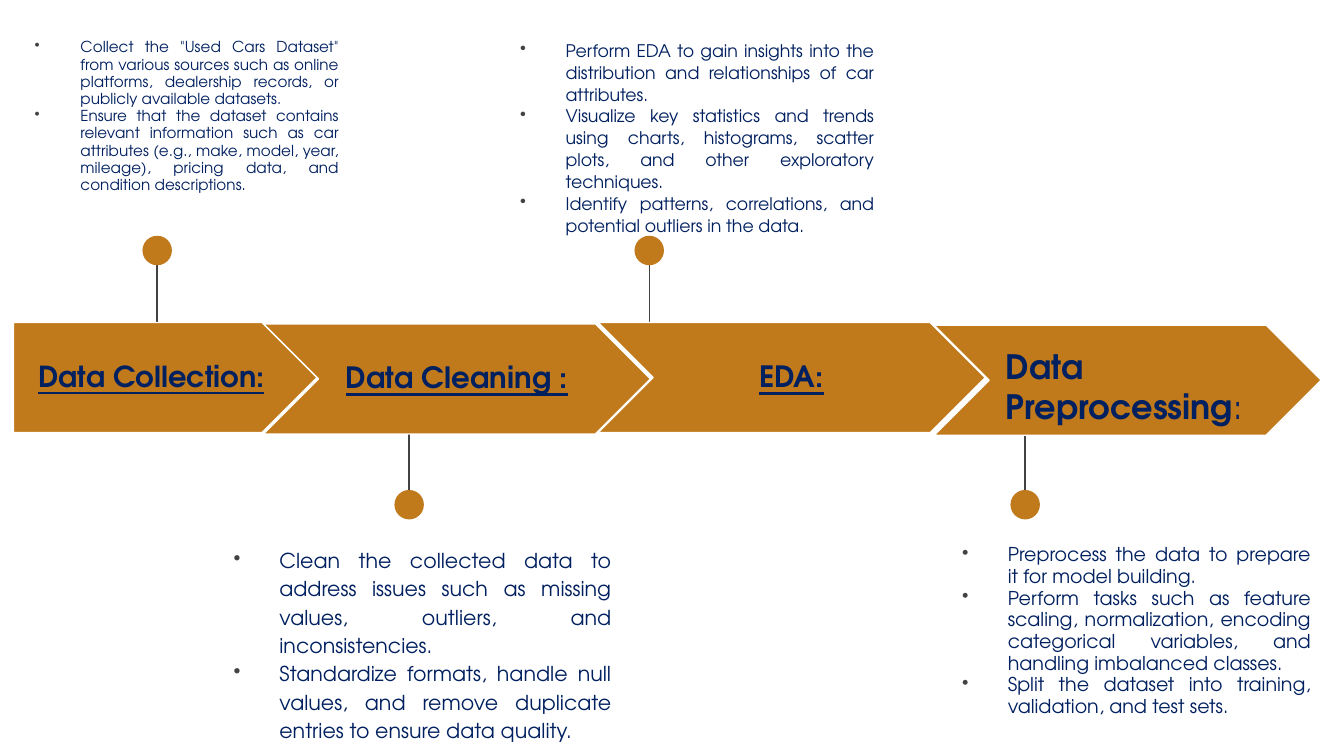
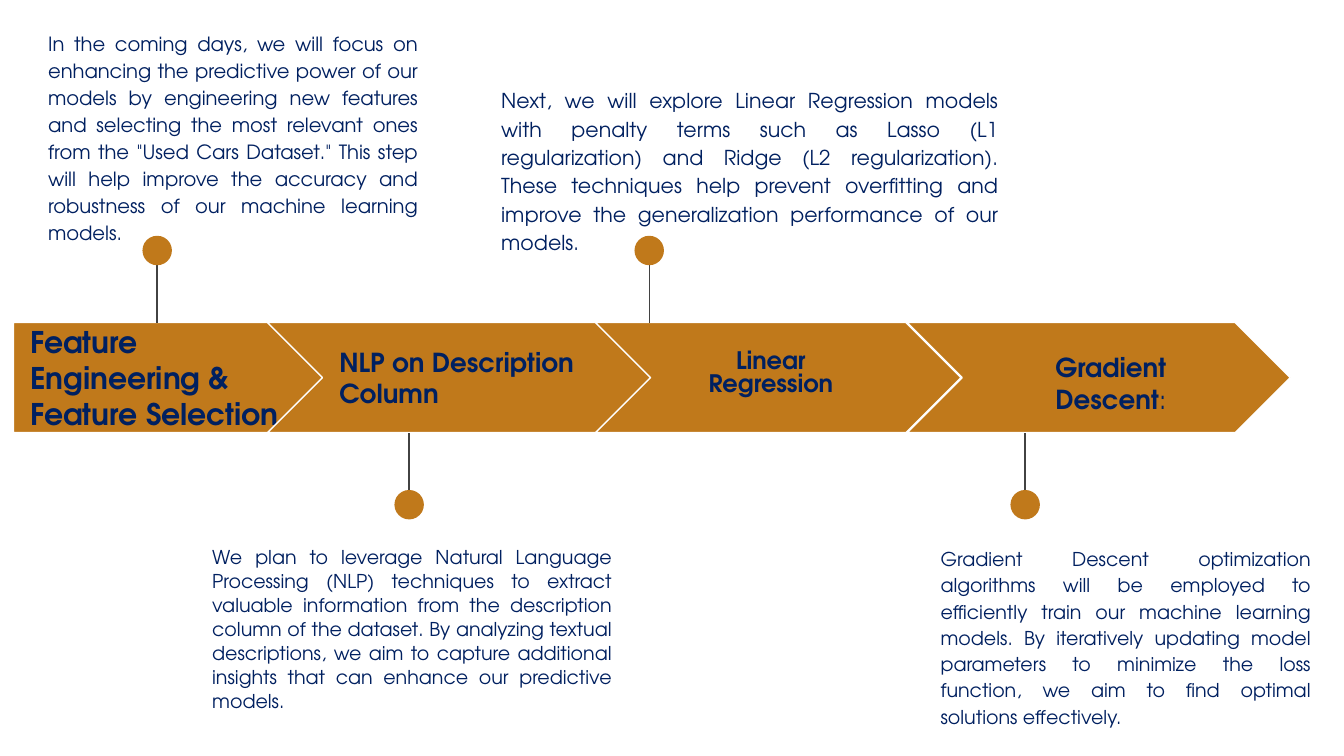
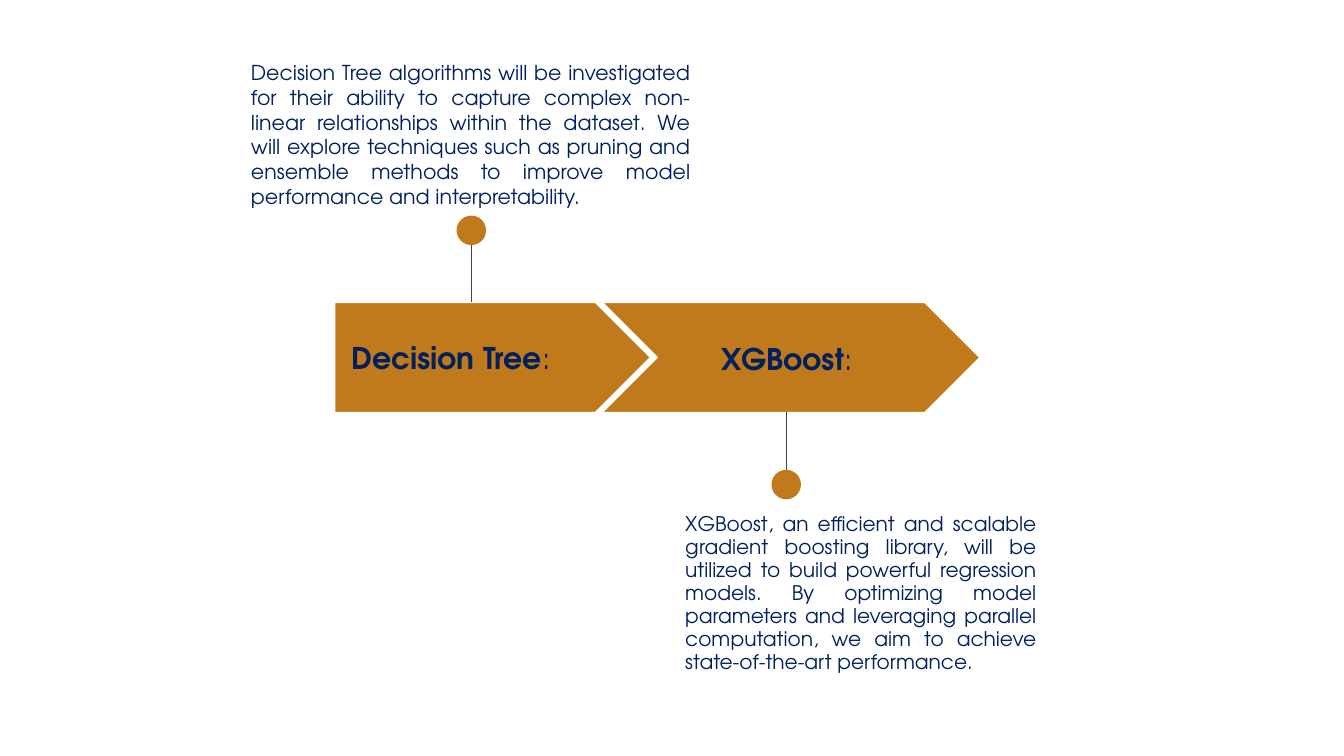
from pptx import Presentation
from pptx.dml.color import RGBColor
from pptx.enum.shapes import MSO_CONNECTOR as Connector, MSO_SHAPE as Shape
from pptx.enum.text import MSO_ANCHOR as Anchor, PP_ALIGN as Align
from pptx.oxml.ns import qn
from pptx.util import Pt
from lxml.etree import SubElement

COLORS = {"band": "C0791B", "text": "002060", "line": "424242", "edge": "FFFFFF"}
FONT = "TeX Gyre Adventor"
BAND_TOP = 172.8
BAND_HEIGHT = 59
PIN_DIAMETER = 15.8
PIN_REACH = 38.6   # from the band's edge to the middle of the dot
LINE_REACH = 43.4  # from the band's edge to the far end of the line


def color(name):
    return RGBColor.from_string(COLORS[name])


def add_bullet(para):
    """Give a paragraph a hanging round bullet."""
    properties = para._p.get_or_add_pPr()
    properties.set("marL", str(Pt(36)))
    properties.set("indent", str(Pt(-24.5)))
    bullet_color = SubElement(properties, qn("a:buClr"))
    SubElement(bullet_color, qn("a:srgbClr"), val=COLORS["line"])
    SubElement(properties, qn("a:buChar"), char="•")


def add_span(para, text, size, bold=False, underline=False):
    span = para.add_run()
    span.text = text
    font = span.font
    font.name, font.size = FONT, Pt(size)
    font.bold, font.underline = bold, underline
    font.color.rgb = color("text")


def write(shape, *texts, size=11, bold=False, underline=False, light_tail="",
          align=Align.LEFT, spacing=1.0, bullets=False, anchor=Anchor.TOP,
          inset=7.2, inset_top=None):
    """Write one paragraph per text; light_tail ends the last one unbolded."""
    frame = shape.text_frame
    frame.word_wrap = True
    frame.vertical_anchor = anchor
    frame.margin_left = frame.margin_right = frame.margin_bottom = Pt(inset)
    frame.margin_top = Pt(inset if inset_top is None else inset_top)
    for number, text in enumerate(texts):
        para = frame.add_paragraph() if number else frame.paragraphs[0]
        para.alignment = align
        para.line_spacing = spacing
        if bullets:
            add_bullet(para)
        add_span(para, text, size, bold, underline)
    if light_tail:
        add_span(para, light_tail, size)


def add_filled(page, kind, left, top, width, height):
    shape = page.shapes.add_shape(kind, Pt(left), Pt(top), Pt(width), Pt(height))
    shape.shadow.inherit = False
    shape.fill.solid()
    shape.fill.fore_color.rgb = color("band")
    return shape


def add_step(page, left, width, title="", kind=Shape.CHEVRON, top=BAND_TOP, **style):
    """One arrow of the band, with its title when it holds one."""
    step = add_filled(page, kind, left, top, width, BAND_HEIGHT)
    step.line.color.rgb = color("edge")
    step.line.width = Pt(0.75)
    if title:
        style = {"bold": True, "anchor": Anchor.MIDDLE, "inset": 9} | style
        write(step, title, **style)


def add_box(page, left, top, width, height, *texts, **style):
    box = page.shapes.add_textbox(Pt(left), Pt(top), Pt(width), Pt(height))
    write(box, *texts, **style)


def add_note(page, left, top, width, height, *texts, **style):
    """Justified explanation of a step."""
    add_box(page, left, top, width, height, *texts, align=Align.JUSTIFY, **style)


def add_label(page, left, top, width, height, title, **style):
    """Centred title that lies over a step."""
    add_box(page, left, top, width, height, title, bold=True,
            align=Align.CENTER, anchor=Anchor.MIDDLE, **style)


def add_pin(page, x, above, band_top=BAND_TOP):
    """Line with a dot, standing above the band or hanging below it."""
    edge = band_top if above else band_top + BAND_HEIGHT
    side = -1 if above else 1
    line = page.shapes.add_connector(
        Connector.STRAIGHT, Pt(x), Pt(edge + side * LINE_REACH), Pt(x), Pt(edge))
    line.line.color.rgb = color("line")
    line.line.width = Pt(0.75)
    SubElement(line._element.spPr, qn("a:effectLst"))
    radius = PIN_DIAMETER / 2
    dot = add_filled(page, Shape.OVAL, x - radius, edge + side * PIN_REACH - radius,
                     PIN_DIAMETER, PIN_DIAMETER)
    dot.line.fill.background()


def add_four_pins(page):
    for number, x in enumerate((84.2, 219.2, 347.8, 549.2)):
        add_pin(page, x, above=number % 2 == 0)


def build_preparation(page):
    add_four_pins(page)

    # Steps
    title = {"size": 15.7, "underline": True, "align": Align.CENTER, "spacing": 0.95}
    add_step(page, 7.2, 162.7, "Data Collection:", Shape.PENTAGON,
             **title | {"size": 15.5})
    add_step(page, 141.1, 207.4, "Data Cleaning :", top=173.5, **title)
    add_step(page, 320.4, 207.4, "EDA:", **title)
    add_step(page, 500.4, 207.4, "Data Preprocessing", top=174.2, size=18,
             light_tail=":", inset_top=15)

    # Notes
    add_note(page, 0, 13.7, 188.6, 103.7,
             'Collect the "Used Cars Dataset" from various sources such as online '
             "platforms, dealership records, or publicly available datasets.",
             "Ensure that the dataset contains relevant information such as car "
             "attributes (e.g., make, model, year, mileage), pricing data, and "
             "condition descriptions.",
             size=8.1, spacing=0.95, bullets=True)
    add_note(page, 106.6, 284.4, 228.2, 107.3,
             "Clean the collected data to address issues such as missing values, "
             "outliers, and inconsistencies.",
             "Standardize formats, handle null values, and remove duplicate entries "
             "to ensure data quality.",
             size=11, spacing=1.15, bullets=True)
    add_note(page, 260, 13.7, 215.3, 106.6,
             "Perform EDA to gain insights into the distribution and relationships "
             "of car attributes.",
             "Visualize key statistics and trends using charts, histograms, scatter "
             "plots, and other exploratory techniques.",
             "Identify patterns, correlations, and potential outliers in the data.",
             size=9.3, spacing=1.05, bullets=True)
    add_note(page, 496.8, 284.4, 212.4, 107.3,
             "Preprocess the data to prepare it for model building.",
             "Perform tasks such as feature scaling, normalization, encoding "
             "categorical variables, and handling imbalanced classes.",
             "Split the dataset into training, validation, and test sets.",
             size=10.2, spacing=0.95, bullets=True)


def build_modelling(page):
    # Steps and pins
    add_step(page, 7.2, 167, "Feature Engineering & Feature Selection",
             Shape.PENTAGON, size=16)
    add_step(page, 143.3, 212.4, "NLP on Description Column", size=14)
    add_step(page, 319, 195.8)
    add_step(page, 486, 205.2)
    add_label(page, 355.7, 180, 114.5, 41, "Linear Regression", size=12.9, spacing=0.8)
    add_label(page, 528.1, 172.8, 134, 64.8, "Gradient Descent", size=14, light_tail=":")
    add_four_pins(page)

    # Notes
    add_note(page, 18.7, 7.9, 212.4, 118.8,
             "In the coming days, we will focus on enhancing the predictive power of "
             "our models by engineering new features and selecting the most relevant "
             'ones from the "Used Cars Dataset." This step will help improve the '
             "accuracy and robustness of our machine learning models.",
             size=10.5, spacing=1.15)
    add_note(page, 106.6, 284.4, 228.2, 107.3,
             "We plan to leverage Natural Language Processing (NLP) techniques to "
             "extract valuable information from the description column of the "
             "dataset. By analyzing textual descriptions, we aim to capture "
             "additional insights that can enhance our predictive models.",
             size=10.2, spacing=1.05)
    add_note(page, 261.4, 38.2, 280.8, 138.2,
             "Next, we will explore Linear Regression models with penalty terms such "
             "as Lasso (L1 regularization) and Ridge (L2 regularization). These "
             "techniques help prevent overfitting and improve the generalization "
             "performance of our models.",
             size=11, spacing=1.15)
    add_note(page, 496.8, 284.4, 212.4, 107.3,
             "Gradient Descent optimization algorithms will be employed to "
             "efficiently train our machine learning models. By iteratively updating "
             "model parameters to minimize the loss function, we aim to find optimal "
             "solutions effectively.",
             size=10.2, spacing=1.15)


def build_trees(page):
    # Steps and pins
    band_top = 162
    add_step(page, 179.3, 169.2, "Decision Tree", Shape.PENTAGON, top=band_top,
             size=16, light_tail=":")
    add_step(page, 322.6, 202.3, top=band_top)
    add_label(page, 360, 173.5, 123.1, 36.7, "XGBoost", size=16, light_tail=":")
    add_pin(page, 252.5, above=True, band_top=band_top)
    add_pin(page, 421.2, above=False, band_top=band_top)

    # Notes
    add_note(page, 127.4, 28.8, 249.8, 113,
             "Decision Tree algorithms will be investigated for their ability to "
             "capture complex non-linear relationships within the dataset. We will "
             "explore techniques such as pruning and ensemble methods to improve "
             "model performance and interpretability.",
             size=11, inset_top=3.6)
    add_note(page, 360, 267.8, 202.3, 114.5,
             "XGBoost, an efficient and scalable gradient boosting library, will be "
             "utilized to build powerful regression models. By optimizing model "
             "parameters and leveraging parallel computation, we aim to achieve "
             "state-of-the-art performance.",
             size=10.8, spacing=0.95)


def main():
    deck = Presentation()
    deck.slide_width, deck.slide_height = Pt(720), Pt(405)
    for build in (build_preparation, build_modelling, build_trees):
        build(deck.slides.add_slide(deck.slide_layouts[6]))
    deck.save("out.pptx")


if __name__ == "__main__":
    main()
